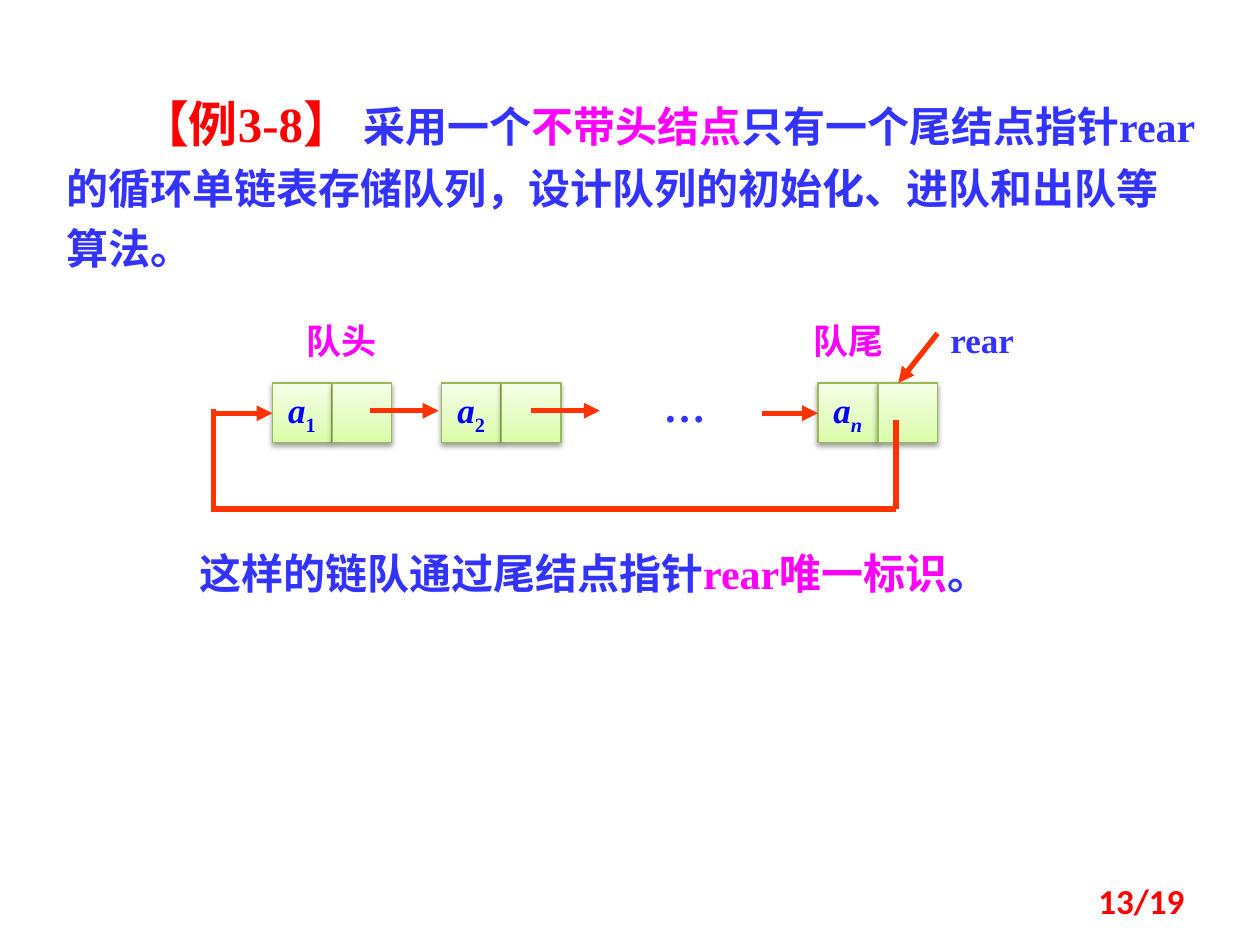
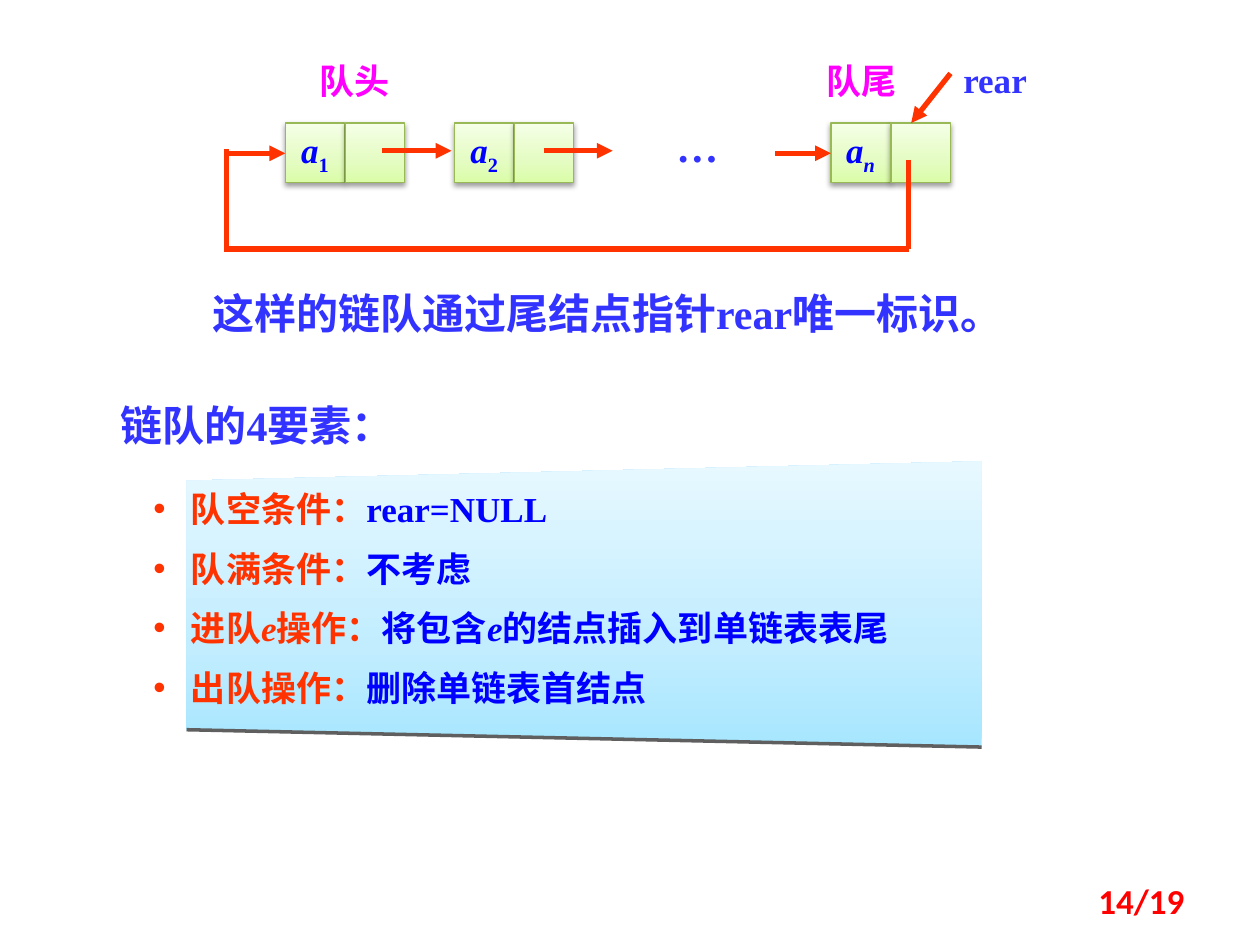
from copy import deepcopy

from lxml.etree import SubElement
from pptx import Presentation
from pptx.dml.color import RGBColor
from pptx.enum.shapes import MSO_CONNECTOR, MSO_SHAPE
from pptx.enum.text import MSO_ANCHOR, MSO_AUTO_SIZE, PP_ALIGN
from pptx.oxml.ns import qn
from pptx.util import Cm, Pt

BLUE = RGBColor(0x33, 0x33, 0xFF)
DEEP_BLUE = RGBColor(0x00, 0x00, 0xFF)
RED = RGBColor(0xFF, 0x00, 0x00)
MAGENTA = RGBColor(0xFF, 0x00, 0xFF)
ORANGE = RGBColor(0xFF, 0x33, 0x00)
NODE_EDGE = RGBColor(0x98, 0xB9, 0x55)
PANEL_EDGE = RGBColor(0x5F, 0x5F, 0x5F)
NODE_STOPS = [RGBColor(0xDA, 0xFD, 0xA7), RGBColor(0xE4, 0xFC, 0xC2), RGBColor(0xF5, 0xFF, 0xE7)]
PANEL_STOPS = [RGBColor(0xA7, 0xE6, 0xFF), RGBColor(0xC1, 0xED, 0xFF), RGBColor(0xE7, 0xF8, 0xFF)]
STOP_POSITIONS = [0, 0.35, 1]
SERIF = "Times New Roman"
TOTAL_PAGES = 19

# Runs are (text, colour, size, style); style may hold "italic" and "sub".
EXAMPLE = [
    ("【例3-8】 ", RED, 28, ""),
    ("采用一个", BLUE, 24, ""),
    ("不带头结点", MAGENTA, 24, ""),
    ("只有一个尾结点指针rear的循环单链表存储队列，设计队列的初始化、进队和出队等算法。", BLUE, 24, ""),
]
CAPTION_MARKED = [
    ("这样的链队通过尾结点指针", BLUE, 24, ""),
    ("rear唯一标识", MAGENTA, 24, ""),
    ("。", BLUE, 24, ""),
]
CAPTION_PLAIN = [("这样的链队通过尾结点指针rear唯一标识。", BLUE, 24, "")]
ELEMENTS_TITLE = [("链队的4要素：", BLUE, 24, "")]
ELEMENTS = [
    [("队空条件：", ORANGE, 20, ""), ("rear=NULL", DEEP_BLUE, 20, "")],
    [("队满条件：", ORANGE, 20, ""), ("不考虑", DEEP_BLUE, 20, "")],
    [("进队", ORANGE, 20, ""), ("e", ORANGE, 20, "italic"), ("操作：", ORANGE, 20, ""),
     ("将包含", DEEP_BLUE, 20, ""), ("e", DEEP_BLUE, 20, "italic"),
     ("的结点插入到单链表表尾", DEEP_BLUE, 20, "")],
    [("出队操作：", ORANGE, 20, ""), ("删除单链表首结点", DEEP_BLUE, 20, "")],
]

# Queue diagram, in cm from the top left corner of its first node.
CELL, CELL_PITCH = 1.2, 1.21
NODES = [(0, "1", "sub"), (3.41, "2", "sub"), (11, "n", "italic sub")]
ARROWS = [
    (1.96, 0.56, 3.35, 0.56),
    (5.21, 0.56, 6.6, 0.56),
    (9.88, 0.61, 11, 0.61),
    (-1.19, 0.61, 0, 0.61),
    (13.41, -1, 12.62, 0),
]
RETURN_PATH = [(12.57, 0.74), (12.57, 2.54), (-1.24, 2.54)]
RETURN_RISE = (-1.19, 2.57, -1.19, 0.53)
LABELS = [
    ("队头", MAGENTA, 20, 0.2, -1.4, 2.41),
    ("队尾", MAGENTA, 20, 10.41, -1.4, 2.41),
    ("rear", BLUE, 20, 13.21, -1.42, 2.2),
    ("…", BLUE, 24, 7.21, -0.18, 2.2),
]
CAPTION_PLACE = (-2.51, 3.2, 18)

PANEL_CORNERS = [(3.76, 9.69), (19.79, 9.3), (19.79, 15.06), (3.76, 14.71)]


def add_runs(paragraph, runs):
    for text, color, size, style in runs:
        run = paragraph.add_run()
        run.text = text
        run.font.name = SERIF
        run.font.size = Pt(size)
        run.font.bold = True
        run.font.italic = "italic" in style
        run.font.color.rgb = color
        if "sub" in style:
            run.font._element.set("baseline", "-25000")


def place(shape, left, top, width, height):
    shape.left, shape.top = Cm(left), Cm(top)
    shape.width, shape.height = Cm(width), Cm(height)


def add_text(slide, left, top, width, runs, align=PP_ALIGN.CENTER):
    box = slide.shapes.add_textbox(Cm(left), Cm(top), Cm(width), Cm(1.1))
    box.text_frame.word_wrap = True
    paragraph = box.text_frame.paragraphs[0]
    paragraph.alignment = align
    add_runs(paragraph, runs)
    return box


def fill_title(slide, runs, area, line_spacing=1, first_indent=0):
    title = slide.shapes.title
    place(title, *area)
    frame = title.text_frame
    frame.auto_size = MSO_AUTO_SIZE.NONE
    frame.vertical_anchor = MSO_ANCHOR.TOP
    paragraph = frame.paragraphs[0]
    paragraph.alignment = PP_ALIGN.LEFT
    paragraph.line_spacing = line_spacing
    paragraph.space_before = Pt(0)
    paragraph._p.get_or_add_pPr().set("indent", str(Cm(first_indent)))
    add_runs(paragraph, runs)


def fill_upward(shape, colors):
    """Gradient of three colours from the bottom edge to the top edge."""
    shape.fill.gradient()
    stop_list = shape._element.spPr.find(qn("a:gradFill")).find(qn("a:gsLst"))
    stop_list.append(deepcopy(stop_list[-1]))
    for stop, color, position in zip(shape.fill.gradient_stops, colors, STOP_POSITIONS):
        stop.color.rgb = color
        stop.position = position
    shape.fill.gradient_angle = 90


def add_soft_shadow(shape):
    shape.shadow.inherit = False
    effects = shape._element.spPr.find(qn("a:effectLst"))
    shadow = SubElement(effects, qn("a:outerShdw"), blurRad=str(Pt(3.1)),
                        dist=str(Pt(1.6)), dir="5400000", rotWithShape="0")
    black = SubElement(shadow, qn("a:srgbClr"), val="000000")
    SubElement(black, qn("a:alpha"), val="38000")


def add_line(slide, x1, y1, x2, y2, color=ORANGE, width=3, arrow=False):
    line = slide.shapes.add_connector(MSO_CONNECTOR.STRAIGHT, Cm(x1), Cm(y1), Cm(x2), Cm(y2))
    line.line.color.rgb = color
    line.line.width = Pt(width)
    properties = line._element.spPr
    if arrow:
        SubElement(properties.find(qn("a:ln")), qn("a:tailEnd"), type="triangle")
    SubElement(properties, qn("a:effectLst"))


def add_cell(slide, left, top, runs=()):
    cell = slide.shapes.add_shape(MSO_SHAPE.RECTANGLE, Cm(left), Cm(top), Cm(CELL), Cm(CELL))
    fill_upward(cell, NODE_STOPS)
    cell.line.color.rgb = NODE_EDGE
    cell.line.width = Pt(0.75)
    add_soft_shadow(cell)
    frame = cell.text_frame
    frame.word_wrap = False
    frame.vertical_anchor = MSO_ANCHOR.MIDDLE
    frame.paragraphs[0].alignment = PP_ALIGN.CENTER
    add_runs(frame.paragraphs[0], runs)


def draw_queue(slide, x, y, caption):
    """Circular linked queue whose first node has its corner at x, y."""
    for left, index, index_style in NODES:
        add_cell(slide, x + left, y,
                 [("a", DEEP_BLUE, 20, "italic"), ("" + index, DEEP_BLUE, 20, index_style)])
        add_cell(slide, x + left + CELL_PITCH, y)
    for x1, y1, x2, y2 in ARROWS:
        add_line(slide, x + x1, y + y1, x + x2, y + y2, arrow=True)
    segments = [a + b for a, b in zip(RETURN_PATH, RETURN_PATH[1:])] + [RETURN_RISE]
    for x1, y1, x2, y2 in segments:
        add_line(slide, x + x1, y + y1, x + x2, y + y2)
    for text, color, size, left, top, width in LABELS:
        add_text(slide, x + left, y + top, width, [(text, color, size, "")])
    left, top, width = CAPTION_PLACE
    add_text(slide, x + left, y + top, width, caption)


def add_page_number(slide, number):
    box = slide.shapes.add_textbox(Cm(18.2), Cm(17.65), Cm(5.93), Cm(1.02))
    box.text_frame.vertical_anchor = MSO_ANCHOR.MIDDLE
    box.text_frame.word_wrap = True
    paragraph = box.text_frame.paragraphs[0]
    paragraph.alignment = PP_ALIGN.RIGHT
    run = paragraph.add_run()
    run.text = f"{number}/{TOTAL_PAGES}"
    run.font.name = "Calibri"
    run.font.size = Pt(20)
    run.font.bold = True
    run.font.color.rgb = RED


def add_panel(slide):
    corners = [(Cm(x), Cm(y)) for x, y in PANEL_CORNERS]
    outline = slide.shapes.build_freeform(*corners[0])
    outline.add_line_segments(corners[1:], close=True)
    panel = outline.convert_to_shape()
    fill_upward(panel, PANEL_STOPS)
    panel.line.fill.background()
    panel.shadow.inherit = False
    add_line(slide, *PANEL_CORNERS[3], *PANEL_CORNERS[2], color=PANEL_EDGE, width=2)


def fill_list(slide, items):
    body = slide.placeholders[1]
    place(body, 2.69, 9.53, 16.94, 5.31)
    slide.shapes._spTree.append(body._element)  # in front of the panel
    frame = body.text_frame
    frame.auto_size = MSO_AUTO_SIZE.NONE
    frame.margin_left = frame.margin_right = Cm(0.4)
    frame.margin_top = frame.margin_bottom = Cm(0.3)
    for position, runs in enumerate(items):
        paragraph = frame.add_paragraph() if position else frame.paragraphs[0]
        properties = paragraph._p.get_or_add_pPr()
        properties.set("marL", str(Cm(0.76)))
        properties.set("indent", str(-Cm(0.76)))
        SubElement(properties, qn("a:buChar"), char="•")
        paragraph.space_before = Pt(10 if position else 0)
        add_runs(paragraph, runs)


def main():
    deck = Presentation()
    deck.slide_width, deck.slide_height = Cm(25.4), Cm(19.05)

    example = deck.slides.add_slide(deck.slide_layouts[5])
    fill_title(example, EXAMPLE, (1.09, 1.52, 23.32, 4.17), line_spacing=1.2, first_indent=1.48)
    draw_queue(example, 5.49, 7.72, CAPTION_MARKED)
    add_page_number(example, 13)

    elements = deck.slides.add_slide(deck.slide_layouts[1])
    fill_title(elements, ELEMENTS_TITLE, (2.18, 7.92, 7.24, 1.27))
    add_panel(elements)
    fill_list(elements, ELEMENTS)
    draw_queue(elements, 5.75, 2.48, CAPTION_PLAIN)
    add_page_number(elements, 14)

    deck.save("out.pptx")


if __name__ == "__main__":
    main()
